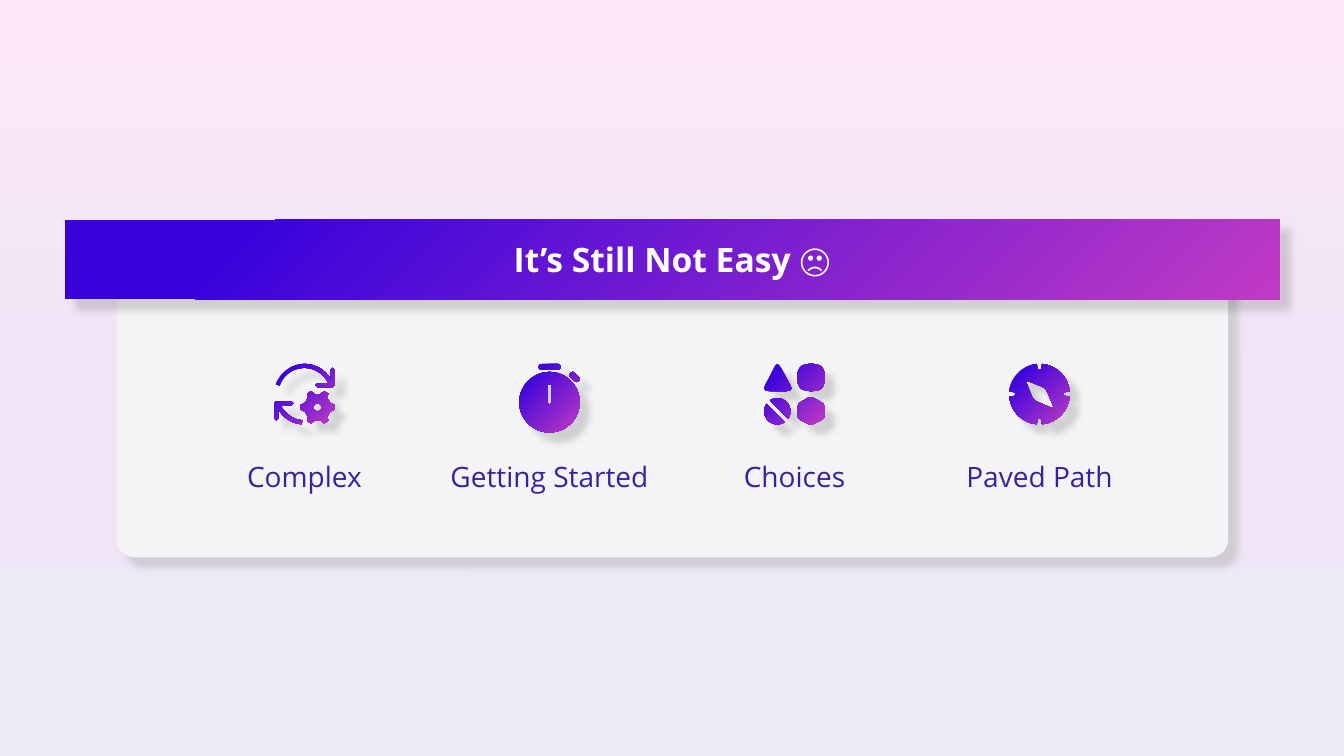
import math

import pptx
import pptx.dml.color
import pptx.enum.shapes
import pptx.enum.text
import pptx.oxml
import pptx.oxml.ns
import pptx.util

Inches = pptx.util.Inches
Pt = pptx.util.Pt
RGBColor = pptx.dml.color.RGBColor
qn = pptx.oxml.ns.qn

PINK = RGBColor(0xFC, 0xE7, 0xF8)
LILAC = RGBColor(0xF0, 0xE5, 0xF6)
LAVENDER = RGBColor(0xED, 0xEA, 0xF7)
MAGENTA = RGBColor(0xC0, 0x3B, 0xC4)
INDIGO = RGBColor(0x38, 0x03, 0xDB)
PURPLE = RGBColor(0x3A, 0x20, 0xA0)
PANEL = RGBColor(0xF4, 0xF3, 0xF5)
SILVER = RGBColor(0xB1, 0xB3, 0xB3)
CHARCOAL = RGBColor(0x45, 0x41, 0x42)
WHITE = RGBColor(0xFF, 0xFF, 0xFF)

BRAND_STOPS = [(0, MAGENTA), (85, INDIGO)]
CORNER_GLOW = '<a:path path="circle"><a:fillToRect l="100000" t="100000"/></a:path>'
DOWNWARD = '<a:lin ang="5400000" scaled="0"/>'


# Outlines, in inches from the top left corner of an icon
def arc(x, y, radius, start, end, steps=32):
    angles = [math.radians(start + (end - start) * i / steps) for i in range(steps + 1)]
    return [(x + radius * math.cos(a), y + radius * math.sin(a)) for a in angles]


def capsule(x1, y1, x2, y2, radius):
    angle = math.degrees(math.atan2(y2 - y1, x2 - x1))
    return (arc(x2, y2, radius, angle - 90, angle + 90, 8)
            + arc(x1, y1, radius, angle + 90, angle + 270, 8))


def rounded(corners, cut):
    """Polygon whose corners are replaced by quadratic curves."""
    def toward(corner, other):
        share = cut / math.dist(corner, other)
        return [c + share * (o - c) for c, o in zip(corner, other)]

    points = []
    for i, corner in enumerate(corners):
        before = toward(corner, corners[i - 1])
        after = toward(corner, corners[(i + 1) % len(corners)])
        for t in (0, 0.2, 0.4, 0.6, 0.8, 1):
            points.append(tuple((1 - t) ** 2 * b + 2 * t * (1 - t) * c + t * t * a
                                for b, c, a in zip(before, corner, after)))
    return points


def cycle_arrow(tail):
    head = [(0.56, 0.15), (0.56, 0.06), (0.58, 0.04), (0.6, 0.06), (0.6, 0.21),
            (0.58, 0.23), (0.43, 0.23), (0.41, 0.21), (0.43, 0.19), (0.54, 0.19)]
    return arc(0.3, 0.3, 0.3, tail, 330) + head + arc(0.3, 0.3, 0.26, 335, tail)


def cycle_with_gear():
    lower_arrow = [(0.6 - x, 0.6 - y) for x, y in cycle_arrow(275)]
    gear = []
    for tooth in range(0, 360, 60):
        gear += arc(0.43, 0.43, 0.17, tooth - 8, tooth + 8, 4)
        gear += arc(0.43, 0.43, 0.13, tooth + 20, tooth + 40, 4)
    return [cycle_arrow(199), lower_arrow, gear, arc(0.43, 0.43, 0.04, 0, 360)]


def stopwatch():
    return [arc(0.3, 0.38, 0.3, 0, 360, 72), capsule(0.3, 0.22, 0.3, 0.38, 0.02),
            capsule(0.22, 0.03, 0.38, 0.03, 0.03), capsule(0.53, 0.11, 0.57, 0.15, 0.03)]


def four_shapes():
    square = [(0.33, 0), (0.6, 0), (0.6, 0.27), (0.33, 0.27)]
    triangle = [(0.13, -0.03), (0.29, 0.27), (-0.02, 0.27)]
    hexagon = [(0.46, 0.32), (0.6, 0.4), (0.6, 0.54), (0.46, 0.61), (0.33, 0.54), (0.33, 0.4)]
    return [rounded(square, 0.12), rounded(triangle, 0.07), rounded(hexagon, 0.04),
            arc(0.13, 0.47, 0.13, 34, -124), arc(0.13, 0.47, 0.13, 56, 214)]


def compass():
    dial = []
    for quarter in range(0, 360, 90):
        dial += arc(0.3, 0.3, 0.3, quarter + 5, quarter + 85)
        notch = math.radians(quarter + 90)
        dial += arc(0.3 + 0.26 * math.cos(notch), 0.3 + 0.26 * math.sin(notch),
                    0.02, quarter, quarter - 180, 8)
    needle = [(0.16, 0.16), (0.36, 0.24), (0.45, 0.45), (0.24, 0.36)]
    return [dial, rounded(needle, 0.04)]


class SlideBuilder:
    font_name = "Open Sans"

    def __init__(self, presentation):
        self.slide = presentation.slides.add_slide(presentation.slide_layouts[5])

    def gradient(self, owner, stops, direction):
        """Replace the solid fill of an element by a gradient."""
        stop_list = "".join(f'<a:gs pos="{position * 1000}"><a:srgbClr val="{color}"/></a:gs>'
                            for position, color in stops)
        solid = owner.find(qn("a:solidFill"))
        owner.replace(solid, pptx.oxml.parse_xml(
            f'<a:gradFill {pptx.oxml.ns.nsdecls("a")} rotWithShape="1">'
            f'<a:gsLst>{stop_list}</a:gsLst>{direction}</a:gradFill>'))

    def finish(self, shape, color, shadow_color, opacity):
        """Fill the shape, drop its outline and cast a shadow; no color means gradient."""
        shape.fill.solid()
        shape.fill.fore_color.rgb = color or INDIGO
        shape.line.fill.background()
        properties = shape._element.spPr
        if color is None:
            self.gradient(properties, BRAND_STOPS, CORNER_GLOW)
        shape.shadow.inherit = False
        properties.find(qn("a:effectLst")).append(pptx.oxml.parse_xml(
            f'<a:outerShdw {pptx.oxml.ns.nsdecls("a")} blurRad="{Pt(5)}" dist="{Pt(10)}" '
            f'dir="2700000" algn="tl" rotWithShape="0"><a:srgbClr val="{shadow_color}">'
            f'<a:alpha val="{opacity * 1000}"/></a:srgbClr></a:outerShdw>'))

    def background(self, stops):
        self.slide.background.fill.solid()
        properties = self.slide._element.find(".//" + qn("p:bgPr"))
        self.gradient(properties, stops, DOWNWARD)

    def add_text(self, shape, text, size, color, bold=False):
        paragraph = shape.text_frame.paragraphs[0]
        paragraph.alignment = pptx.enum.text.PP_ALIGN.CENTER
        run = paragraph.add_run()
        run.text = text
        run.font.name = self.font_name
        run.font.size = Pt(size)
        run.font.bold = bold
        run.font.color.rgb = color

    def panel(self, left, top, width, height):
        shape = self.slide.shapes.add_shape(
            pptx.enum.shapes.MSO_SHAPE.ROUNDED_RECTANGLE,
            Inches(left), Inches(top), Inches(width), Inches(height))
        shape.adjustments[0] = 0.06
        self.finish(shape, PANEL, SILVER, 50)

    def label(self, center, top, text):
        width = 2.41
        box = self.slide.shapes.add_textbox(
            Inches(center - width / 2), Inches(top), Inches(width), Inches(0.44))
        box.text_frame.word_wrap = True
        self.add_text(box, text, 20, PURPLE)

    def icon(self, left, top, contours):
        placed = [[(Inches(left + x), Inches(top + y)) for x, y in contour]
                  for contour in contours]
        builder = self.slide.shapes.build_freeform(*placed[0][0])
        for number, contour in enumerate(placed):
            if number:
                builder.move_to(*contour[0])
            builder.add_line_segments(contour[1:], close=True)
        self.finish(builder.convert_to_shape(), None, CHARCOAL, 20)

    def title_banner(self, left, top, width, height, text):
        title = self.slide.shapes.title
        title.left, title.top = Inches(left), Inches(top)
        title.width, title.height = Inches(width), Inches(height)
        title._element.spPr.append(pptx.oxml.parse_xml(
            f'<a:prstGeom {pptx.oxml.ns.nsdecls("a")} prst="roundRect"><a:avLst>'
            '<a:gd name="adj" fmla="val 50000"/></a:avLst></a:prstGeom>'))
        self.finish(title, None, CHARCOAL, 20)
        frame = title.text_frame
        frame.margin_left = frame.margin_right = frame.margin_top = frame.margin_bottom = 0
        frame.vertical_anchor = pptx.enum.text.MSO_ANCHOR.MIDDLE
        frame.auto_size = pptx.enum.text.MSO_AUTO_SIZE.NONE
        frame.word_wrap = True
        self.add_text(title, text, 24, WHITE, bold=True)
        # Bring the banner in front of the panel
        self.slide.shapes._spTree.append(title._element)


def main():
    presentation = pptx.Presentation()
    presentation.slide_width, presentation.slide_height = Inches(13.33), Inches(7.5)
    builder = SlideBuilder(presentation)

    # Backdrop and panel
    builder.background([(0, PINK), (50, LILAC), (100, LAVENDER)])
    builder.panel(1.16, 2.6, 11.02, 2.93)

    # Four challenges, evenly spaced
    challenges = [("Complex", cycle_with_gear), ("Getting Started", stopwatch),
                  ("Choices", four_shapes), ("Paved Path", compass)]
    for column, (text, outline) in enumerate(challenges):
        left = 2.72 + 2.43 * column
        builder.icon(left, 3.61, outline())
        builder.label(left + 0.3, 4.51, text)

    # Heading
    builder.title_banner(0.64, 2.18, 12.05, 0.79, "It’s Still Not Easy 🙁")
    presentation.save("out.pptx")


if __name__ == "__main__":
    main()
